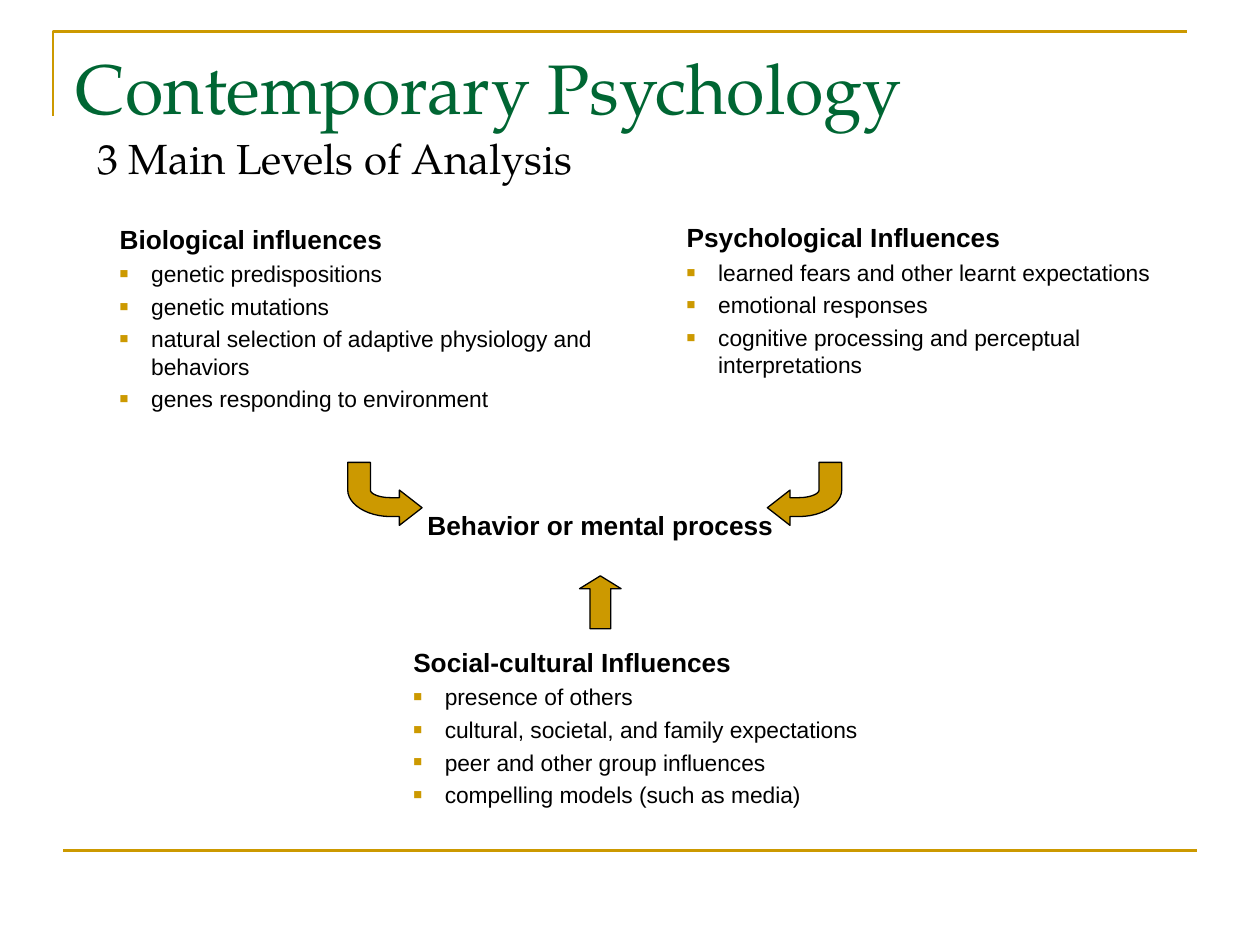
from dataclasses import dataclass

from lxml import etree
from pptx import Presentation, util as u
from pptx.dml.color import RGBColor
from pptx.enum import shapes, text
from pptx.oxml import ns

COLORS = {"gold": "CC9900", "green": "006633", "black": "000000"}
SANS, SERIF = "Arial", "TeX Gyre Pagella"
MIRROR_AXIS = 4.72


@dataclass(frozen=True)
class Influence:
    """A heading with bullets, set in one layout placeholder."""
    idx: int
    left: float
    top: float
    heading: str
    bullets: tuple[str, ...]


INFLUENCES = (
    Influence(2, 0.85, 1.72, "Biological influences", (
        "genetic predispositions", "genetic mutations",
        "natural selection of adaptive physiology and behaviors",
        "genes responding to environment")),
    Influence(4, 5.35, 1.71, "Psychological Influences", (
        "learned fears and other learnt expectations", "emotional responses",
        "cognitive processing and perceptual interpretations")),
    Influence(3, 3.18, 5.08, "Social-cultural Influences", (
        "presence of others", "cultural, societal, and family expectations",
        "peer and other group influences",
        "compelling models (such as media)")),
)


def rgb(name: str) -> RGBColor:
    """Look up a palette colour."""
    return RGBColor.from_string(COLORS[name])


def place(box, left: float, top: float, width: float, height: float,
          anchor=text.MSO_ANCHOR.TOP):
    """Position a text shape and return its prepared frame."""
    box.left, box.top = u.Inches(left), u.Inches(top)
    box.width, box.height = u.Inches(width), u.Inches(height)
    frame = box.text_frame
    frame.word_wrap = True
    frame.auto_size = text.MSO_AUTO_SIZE.NONE
    frame.vertical_anchor = anchor
    return frame


def write(para, words: str, size: float, font: str = SANS,
          color: str = "black", bold: bool = False,
          align=text.PP_ALIGN.LEFT, before: float = 0) -> None:
    """Add one formatted run to a paragraph."""
    para.alignment = align
    para.space_before = u.Pt(before)
    span = para.add_run()
    span.text = words
    span.font.size, span.font.name, span.font.bold = u.Pt(size), font, bold
    span.font.color.rgb = rgb(color)


def set_bullet(para, shown: bool, indent: float = 0.25) -> None:
    """Set a hanging indent with a gold square, or no bullet."""
    props = para._p.get_or_add_pPr()
    props.set("marL", str(u.Inches(indent)))
    props.set("indent", str(-u.Inches(indent)))
    if not shown:
        etree.SubElement(props, ns.qn("a:buNone"))
        return
    tint = etree.SubElement(props, ns.qn("a:buClr"))
    etree.SubElement(tint, ns.qn("a:srgbClr"), val=COLORS["gold"])
    etree.SubElement(props, ns.qn("a:buSzPct"), val="65000")
    etree.SubElement(props, ns.qn("a:buFont"), typeface=SANS)
    etree.SubElement(props, ns.qn("a:buChar"), char="■")


def add_influence(page, influence: Influence) -> None:
    """Fill a body placeholder with a heading and its bullets."""
    frame = place(page.placeholders[influence.idx],
                  influence.left, influence.top, 4, 1.7)
    para = frame.paragraphs[0]
    write(para, influence.heading, 15, bold=True, before=3)
    set_bullet(para, False)
    for bullet in influence.bullets:
        para = frame.add_paragraph()
        write(para, bullet, 13, before=3)
        set_bullet(para, True)


def curve(*points: tuple[float, float], steps: int = 12) -> list:
    """Sample a cubic curve, leaving out its first point."""
    def at(t: float) -> tuple:
        weights = ((1 - t) ** 3, 3 * t * (1 - t) ** 2,
                   3 * t * t * (1 - t), t ** 3)
        return tuple(sum(w * p[axis] for w, p in zip(weights, points))
                     for axis in (0, 1))
    return [at(step / steps) for step in range(1, steps + 1)]


def add_outline(page, points: list, close: bool):
    """Draw a freeform through points given in inches."""
    start, *rest = [(u.Inches(x), u.Inches(y)) for x, y in points]
    builder = page.shapes.build_freeform(*start)
    builder.add_line_segments(rest, close=close)
    outline = builder.convert_to_shape()
    outline.shadow.inherit = False
    return outline


def paint_arrow(arrow) -> None:
    """Give an arrow its gold fill and thin black edge."""
    arrow.shadow.inherit = False
    arrow.fill.solid()
    arrow.fill.fore_color.rgb = rgb("gold")
    arrow.line.color.rgb = rgb("black")
    arrow.line.width = u.Pt(0.75)


def add_rules(page) -> None:
    """Draw the corner frame and the bottom rule."""
    corner = add_outline(page, [(0.42, 0.92), (0.42, 0.25), (9.42, 0.25)],
                         False)
    corner.fill.background()
    bottom = page.shapes.add_connector(
        shapes.MSO_CONNECTOR.STRAIGHT, u.Inches(0.5), u.Inches(6.75),
        u.Inches(9.5), u.Inches(6.75))
    etree.SubElement(bottom._element.spPr, ns.qn("a:effectLst"))
    for rule in (corner, bottom):
        rule.line.color.rgb = rgb("gold")
        rule.line.width = u.Pt(1.5)


def add_arrows(page) -> None:
    """Draw two mirrored bent arrows and the upward arrow."""
    bent = [(3.35, 4.03), (3.17, 4.17), (3.17, 4.1), (3.1, 4.1),
            *curve((3.1, 4.1), (2.91, 4.1), (2.76, 4), (2.76, 3.89)),
            (2.76, 3.67), (2.94, 3.67), (2.94, 3.89),
            *curve((2.94, 3.89), (2.94, 3.92), (3.01, 3.95), (3.1, 3.95)),
            (3.17, 3.95), (3.17, 3.89)]
    mirrored = [(2 * MIRROR_AXIS - x, y) for x, y in bent]
    for points in (bent, mirrored):
        paint_arrow(add_outline(page, points, True))
    upward = page.shapes.add_shape(
        shapes.MSO_SHAPE.UP_ARROW, u.Inches(4.6), u.Inches(4.57),
        u.Inches(0.33), u.Inches(0.42))
    upward.adjustments[0], upward.adjustments[1] = 0.5, 0.31
    paint_arrow(upward)


def main() -> None:
    """Build and save the slide."""
    deck = Presentation()
    deck.slide_width, deck.slide_height = u.Inches(10), u.Inches(7.5)
    page = deck.slides.add_slide(deck.slide_layouts.get_by_name("Comparison"))
    add_rules(page)

    title = place(page.shapes.title, 0.5, 0.3, 9, 1.25)
    write(title.paragraphs[0], "Contemporary Psychology", 40, SERIF, "green")
    subtitle = place(page.placeholders[1], 0.67, 1, 6.75, 0.5)
    para = subtitle.paragraphs[0]
    write(para, "3 Main Levels of Analysis", 24, SERIF)
    set_bullet(para, False, 0)

    for influence in INFLUENCES:
        add_influence(page, influence)

    center = page.shapes.add_textbox(0, 0, 0, 0)
    frame = place(center, 3.25, 3.92, 3.03, 0.5, text.MSO_ANCHOR.MIDDLE)
    write(frame.paragraphs[0], "Behavior or mental process", 15, bold=True,
          align=text.PP_ALIGN.CENTER)
    add_arrows(page)
    deck.save("out.pptx")


main()
